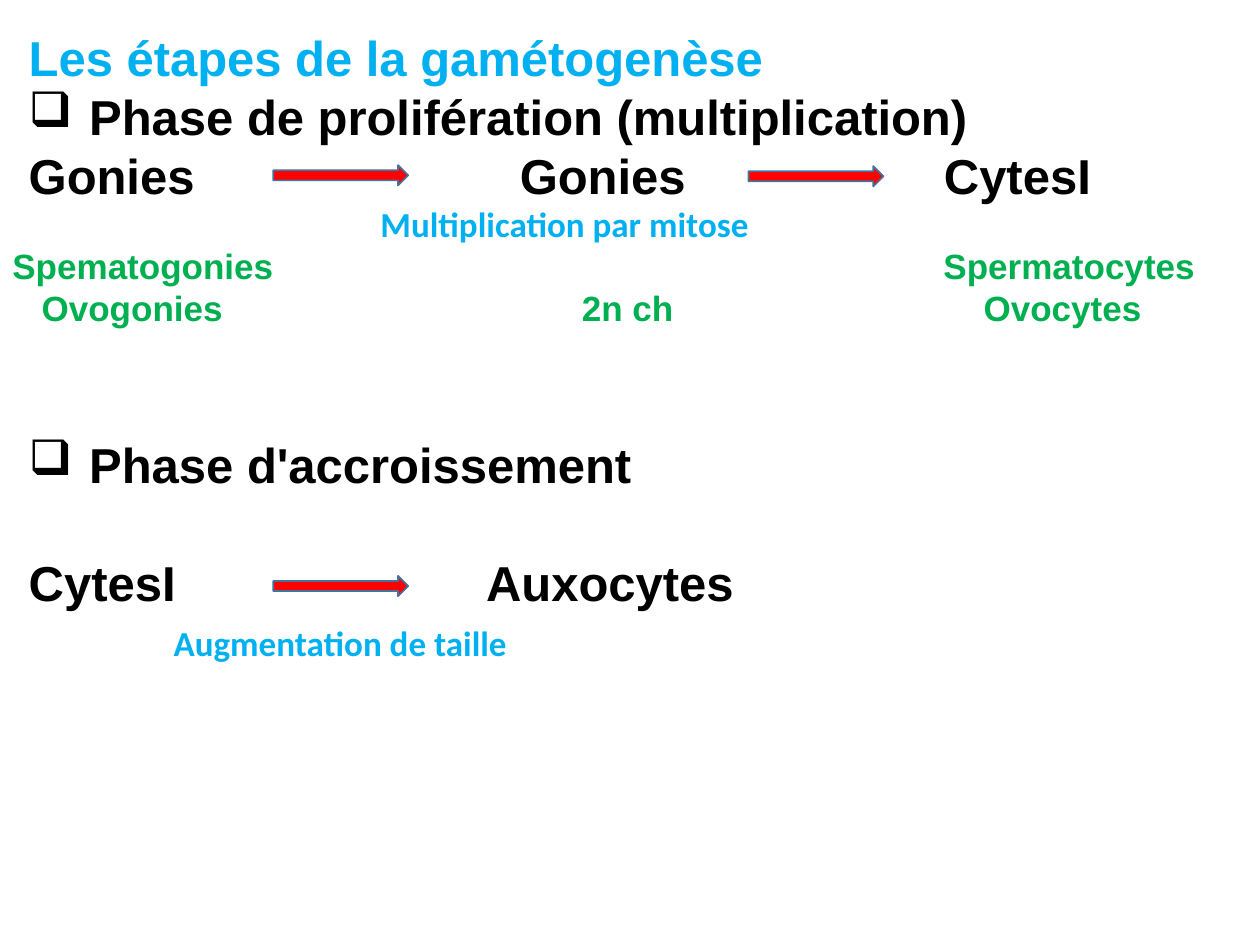
from dataclasses import dataclass

from lxml.etree import SubElement
from pptx import Presentation
from pptx.dml.color import RGBColor
from pptx.enum.shapes import MSO_SHAPE
from pptx.oxml.ns import qn
from pptx.util import Cm, Pt


@dataclass(frozen=True)
class Theme:
    black: RGBColor = RGBColor(0x00, 0x00, 0x00)
    blue: RGBColor = RGBColor(0x00, 0xB0, 0xF0)
    green: RGBColor = RGBColor(0x00, 0xB0, 0x50)
    red: RGBColor = RGBColor(0xFF, 0x00, 0x00)
    outline: RGBColor = RGBColor(0x43, 0x73, 0x9E)
    body_font: str = "Arial"
    caption_font: str = "Calibri"
    large: Pt = Pt(28)
    small: Pt = Pt(20)
    outline_width: Pt = Pt(1)


class LessonSlide:
    def __init__(self, slide, theme):
        self.slide = slide
        self.theme = theme

    def text_frame(self, left, top, width, height, wrap=True):
        box = self.slide.shapes.add_textbox(Cm(left), Cm(top), Cm(width), Cm(height))
        box.text_frame.word_wrap = wrap
        return box.text_frame

    def line(self, frame, text, size, color, font=None, tabs=(), bullet=False, before=0):
        """Add one bold line; tabs are stops in cm from the text edge."""
        is_first = not frame.paragraphs[0].runs
        paragraph = frame.paragraphs[0] if is_first else frame.add_paragraph()
        properties = paragraph._p.get_or_add_pPr()
        if before:
            paragraph.space_before = Pt(before)
        if bullet:
            properties.set("marL", str(Cm(1.22)))
            properties.set("indent", str(-Cm(1.22)))
            SubElement(properties, qn("a:buChar"), char="❑")
        if tabs:
            stops = SubElement(properties, qn("a:tabLst"))
            for stop in tabs:
                SubElement(stops, qn("a:tab"), pos=str(Cm(stop)), algn="l")
        run = paragraph.add_run()
        run.text = text
        run.font.name = font or self.theme.body_font
        run.font.size = size
        run.font.bold = True
        run.font.color.rgb = color

    def heading(self, frame, text):
        self.line(frame, text, self.theme.large, self.theme.blue)

    def phase(self, frame, text):
        self.line(frame, text, self.theme.large, self.theme.black, bullet=True)

    def stages(self, frame, names, tabs, before=0):
        self.line(frame, "\t".join(names), self.theme.large, self.theme.black,
                  tabs=tabs, before=before)

    def cell_names(self, frame, text, tabs):
        self.line(frame, text, self.theme.small, self.theme.green, tabs=tabs)

    def caption(self, text, left, top, width):
        frame = self.text_frame(left, top, width, 1.12, wrap=False)
        self.line(frame, text, self.theme.small, self.theme.blue, self.theme.caption_font)

    def arrow(self, left, top):
        arrow = self.slide.shapes.add_shape(
            MSO_SHAPE.RIGHT_ARROW, Cm(left), Cm(top), Cm(2.72), Cm(0.41))
        arrow.shadow.inherit = False
        arrow.fill.solid()
        arrow.fill.fore_color.rgb = self.theme.red
        arrow.line.color.rgb = self.theme.outline
        arrow.line.width = self.theme.outline_width


def main():
    presentation = Presentation()
    presentation.slide_width, presentation.slide_height = Cm(25.4), Cm(19.05)
    lesson = LessonSlide(
        presentation.slides.add_slide(presentation.slide_layouts[6]), Theme())

    proliferation = lesson.text_frame(0.33, 0.43, 22.15, 5.05)
    lesson.heading(proliferation, "Les étapes de la gamétogenèse")
    lesson.phase(proliferation, "Phase de prolifération (multiplication)")
    lesson.stages(proliferation, ["Gonies", "Gonies", "CytesI"], tabs=[9.9, 18.45])

    growth = lesson.text_frame(0.33, 8.64, 19.1, 5.05)
    lesson.phase(growth, "Phase d'accroissement")
    lesson.stages(growth, ["CytesI", "Auxocytes"], tabs=[9.22], before=33.5)

    for left, top in [(5.51, 3.33), (15.09, 3.35), (5.51, 11.61)]:
        lesson.arrow(left, top)

    lesson.caption("Multiplication par mitose", 7.42, 3.96, 8.0)
    lesson.caption("Augmentation de taille", 3.25, 12.4, 7.29)

    cells = lesson.text_frame(0, 4.8, 24.51, 1.96)
    lesson.cell_names(cells, "Spematogonies\tSpermatocytes", tabs=[18.77])
    lesson.cell_names(cells, "\tOvogonies\t2n ch\tOvocytes", tabs=[0.59, 11.48, 19.58])

    presentation.save("out.pptx")


if __name__ == "__main__":
    main()
